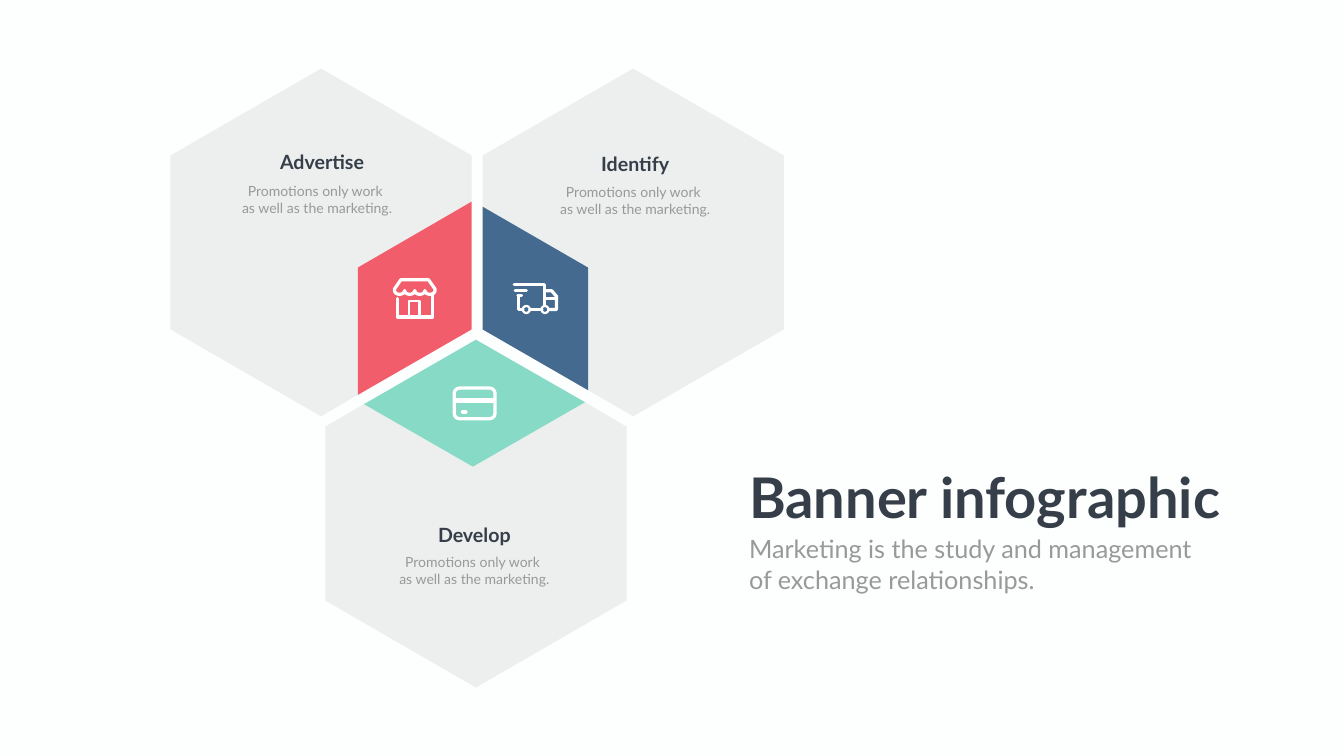
from dataclasses import dataclass
from math import cos, pi, radians, sin

from lxml import etree
from pptx import Presentation
from pptx.dml.color import RGBColor
from pptx.enum.shapes import MSO_CONNECTOR, MSO_SHAPE
from pptx.enum.text import PP_ALIGN
from pptx.oxml.ns import qn
from pptx.util import Pt

Point = tuple[float, float]


@dataclass(frozen=True)
class Theme:
    font: str = "Lato"
    background: str = "FDFFFE"
    panel: str = "ECEFEE"
    red: str = "F25D6B"
    blue: str = "456A8F"
    mint: str = "87DAC5"
    icon: str = "FFFFFF"
    dark: str = "353E49"
    grey: str = "989998"
    title: float = 80
    subtitle: float = 36
    heading: float = 28
    body: float = 20


@dataclass(frozen=True)
class Petal:
    heading: str
    color: str
    center: Point
    inner_corner: int
    notch: list[Point]
    heading_at: Point
    body_at: Point


@dataclass(frozen=True)
class Stroke:
    points: list[Point]
    width: float = 4.6
    closed: bool = False


THEME = Theme()
HEX_RADIUS = 248.4
BODY = ["Promotions only work ", "as well as the marketing."]
HEADING_WIDTH, BODY_WIDTH = 148, 230.4

PETALS = [
    Petal("Advertise", THEME.red, (458.6, 346.4), 2,
          [(673.7, 288), (511, 382.3), (511, 564.2)], (460, 211), (452.9, 257)),
    Petal("Identify", THEME.blue, (904.4, 346.4), 4,
          [(840, 557.5), (840, 382.3), (689.2, 295.2)], (907.2, 213.1), (907.2, 259.2)),
    Petal("Develop", THEME.mint, (679.7, 733.7), 0,
          [(519.8, 577.4), (675.4, 666.7), (835.6, 574.6)], (677.5, 743), (677.5, 787)),
]

AWNING_LEFT, AWNING_Y, SCALLOP, SCALLOP_DEPTH = 563.4, 415, 14.5, 5.5
scallops = [
    (AWNING_LEFT + SCALLOP * (i + (1 + cos(pi * step / 8)) / 2),
     AWNING_Y + SCALLOP_DEPTH * sin(pi * step / 8))
    for i in reversed(range(4)) for step in range(9)
]

STORE = [
    Stroke([(584.3, 429.8), (599.4, 429.8), (599.4, 452.5), (584.3, 452.5)], 3.6, True),
    Stroke([(567.7, 426.5), (567.7, 452.9), (617.8, 452.9), (617.8, 420)]),
    Stroke([(563.4, 413), (572.5, 399.6), (612, 399.6), (621.4, 413), *scallops], closed=True),
]
TRUCK = [
    Stroke([(734.4, 406.5), (778, 406.5), (778, 436)]),
    Stroke([(780.5, 415.4), (788, 415.4), (794.9, 423.5), (794.9, 442.2), (783.4, 442.2)]),
    Stroke([(778.3, 426.2), (794.9, 426.2)]),
    Stroke([(756.7, 442.2), (774, 442.2)]),
    Stroke([(746.6, 442.2), (740.5, 442.2), (740.5, 422.6)]),
    Stroke([(735.8, 415.1), (751.7, 415.1)]),
    Stroke([(739.4, 421.9), (745.2, 421.9)], 4),
]
WHEEL_CENTERS = [(751.7, 442.1), (778.3, 442.1)]
WHEEL_RADIUS = 5
CARD_MARKS = [
    Stroke([(652, 572), (704, 572)], 6.4),
    Stroke([(661, 588.2), (665, 588.2)], 5.6),
]


def rgb(color: str) -> RGBColor:
    return RGBColor.from_string(color)


def hexagon(center: Point) -> list[Point]:
    return [(center[0] + HEX_RADIUS * sin(radians(60 * i)),
             center[1] - HEX_RADIUS * cos(radians(60 * i))) for i in range(6)]


def outline(slide, points: list[Point], closed: bool = True):
    first, *rest = [(Pt(x), Pt(y)) for x, y in points]
    builder = slide.shapes.build_freeform(*first)
    builder.add_line_segments(rest, close=closed)
    shape = builder.convert_to_shape()
    shape.shadow.inherit = False
    return shape


def add_area(slide, points: list[Point], color: str) -> None:
    shape = outline(slide, points)
    shape.fill.solid()
    shape.fill.fore_color.rgb = rgb(color)
    shape.line.fill.background()


def style_line(shape, width: float) -> None:
    shape.line.color.rgb = rgb(THEME.icon)
    shape.line.width = Pt(width)
    ln = shape.element.spPr.find(qn("a:ln"))
    ln.set("cap", "rnd")
    etree.SubElement(ln, qn("a:round"))


def add_stroke(slide, stroke: Stroke) -> None:
    if len(stroke.points) == 2:
        (x1, y1), (x2, y2) = stroke.points
        shape = slide.shapes.add_connector(
            MSO_CONNECTOR.STRAIGHT, Pt(x1), Pt(y1), Pt(x2), Pt(y2))
        style_line(shape, stroke.width)
        etree.SubElement(shape.element.spPr, qn("a:effectLst"))
    else:
        shape = outline(slide, stroke.points, stroke.closed)
        shape.fill.background()
        style_line(shape, stroke.width)


def add_ring(slide, kind, left: float, top: float, width: float, height: float, line: float):
    shape = slide.shapes.add_shape(kind, Pt(left), Pt(top), Pt(width), Pt(height))
    shape.shadow.inherit = False
    shape.fill.background()
    style_line(shape, line)
    return shape


def add_text(slide, lines: list[str], left: float, top: float, width: float, size: float,
             color: str, bold: bool = False, align=PP_ALIGN.CENTER) -> None:
    height = len(lines) * size * 1.2 + 7.2
    frame = slide.shapes.add_textbox(Pt(left), Pt(top), Pt(width), Pt(height)).text_frame
    frame.word_wrap = True
    for i, line in enumerate(lines):
        paragraph = frame.add_paragraph() if i else frame.paragraphs[0]
        paragraph.alignment = align
        run = paragraph.add_run()
        run.text = line
        run.font.name = THEME.font
        run.font.size = Pt(size)
        run.font.bold = bold
        run.font.color.rgb = rgb(color)


def add_petal(slide, petal: Petal) -> None:
    corners = hexagon(petal.center)
    i = petal.inner_corner
    add_area(slide, corners[:i] + petal.notch + corners[i + 1:], THEME.panel)
    add_area(slide, petal.notch + [corners[i]], petal.color)
    x, y = petal.heading_at
    add_text(slide, [petal.heading], x - HEADING_WIDTH / 2, y, HEADING_WIDTH,
             THEME.heading, THEME.dark, True)
    x, y = petal.body_at
    add_text(slide, BODY, x - BODY_WIDTH / 2, y, BODY_WIDTH, THEME.body, THEME.grey)


def main() -> None:
    deck = Presentation()
    deck.slide_width, deck.slide_height = Pt(1919.5), Pt(1080)
    slide = deck.slides.add_slide(deck.slide_layouts[6])
    slide.background.fill.solid()
    slide.background.fill.fore_color.rgb = rgb(THEME.background)

    for petal in PETALS:
        add_petal(slide, petal)
    for stroke in STORE + TRUCK + CARD_MARKS:
        add_stroke(slide, stroke)
    for x, y in WHEEL_CENTERS:
        add_ring(slide, MSO_SHAPE.OVAL, x - WHEEL_RADIUS, y - WHEEL_RADIUS,
                 2 * WHEEL_RADIUS, 2 * WHEEL_RADIUS, 3.2)
    card = add_ring(slide, MSO_SHAPE.ROUNDED_RECTANGLE, 648.7, 554.4, 58.3, 43.8, 4.6)
    card.adjustments[0] = 0.17

    add_text(slide, ["Banner infographic"], 1062.7, 656.6, 703.4,
             THEME.title, THEME.dark, True, PP_ALIGN.LEFT)
    add_text(slide, ["Marketing is the study and management", "of exchange relationships. "],
             1062.7, 758.9, 701.3, THEME.subtitle, THEME.grey, align=PP_ALIGN.LEFT)
    deck.save("out.pptx")


main()
